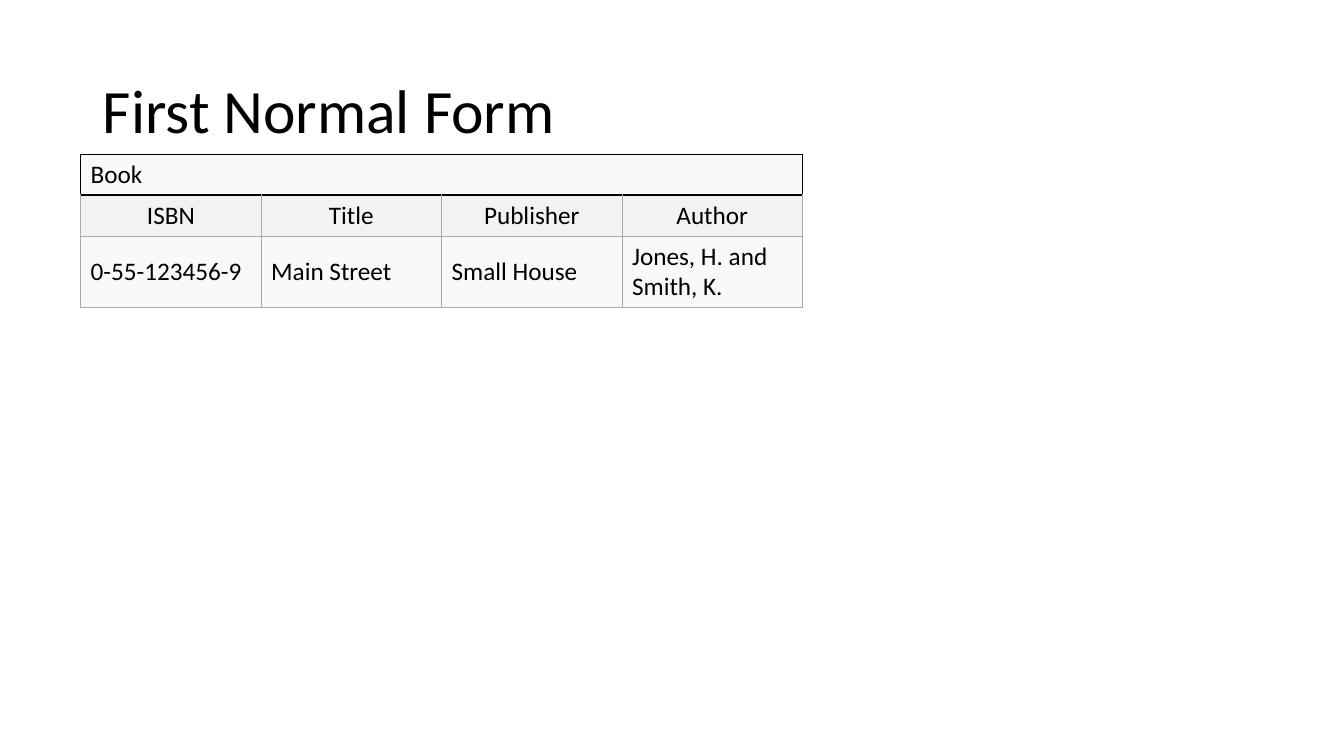
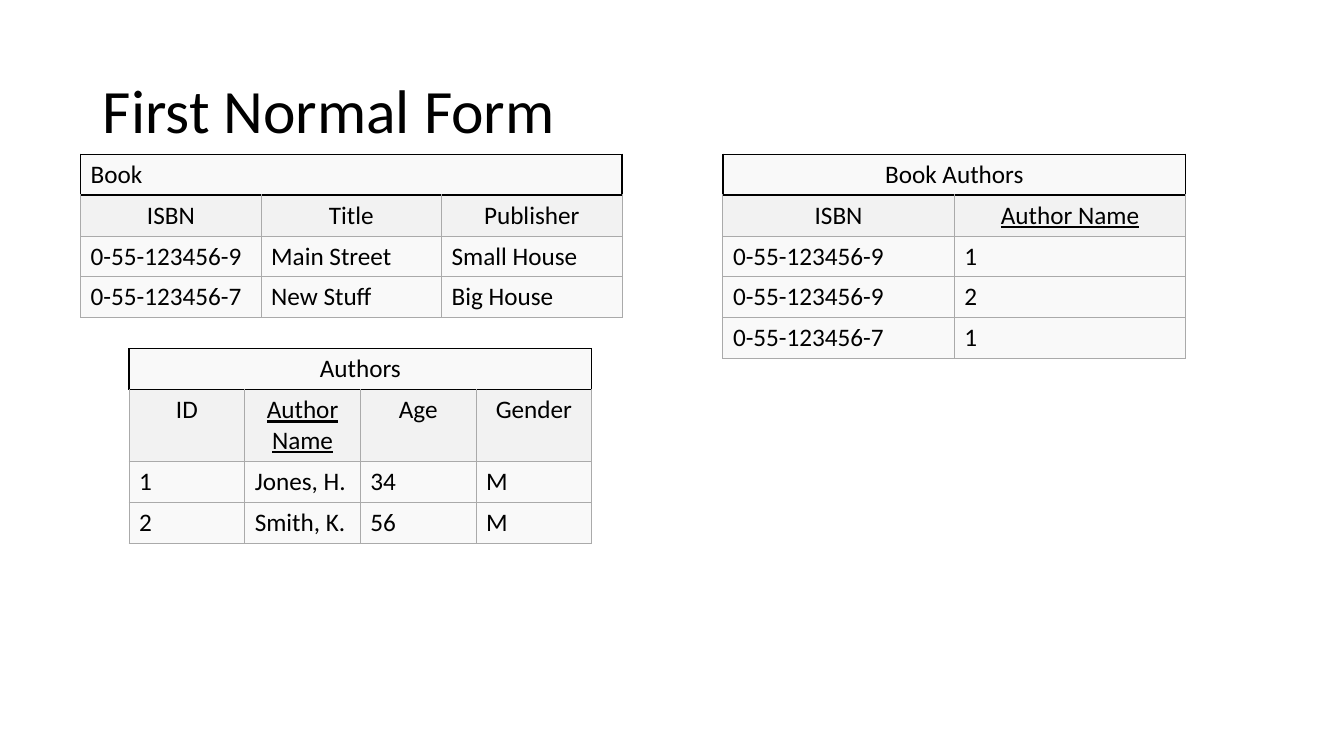
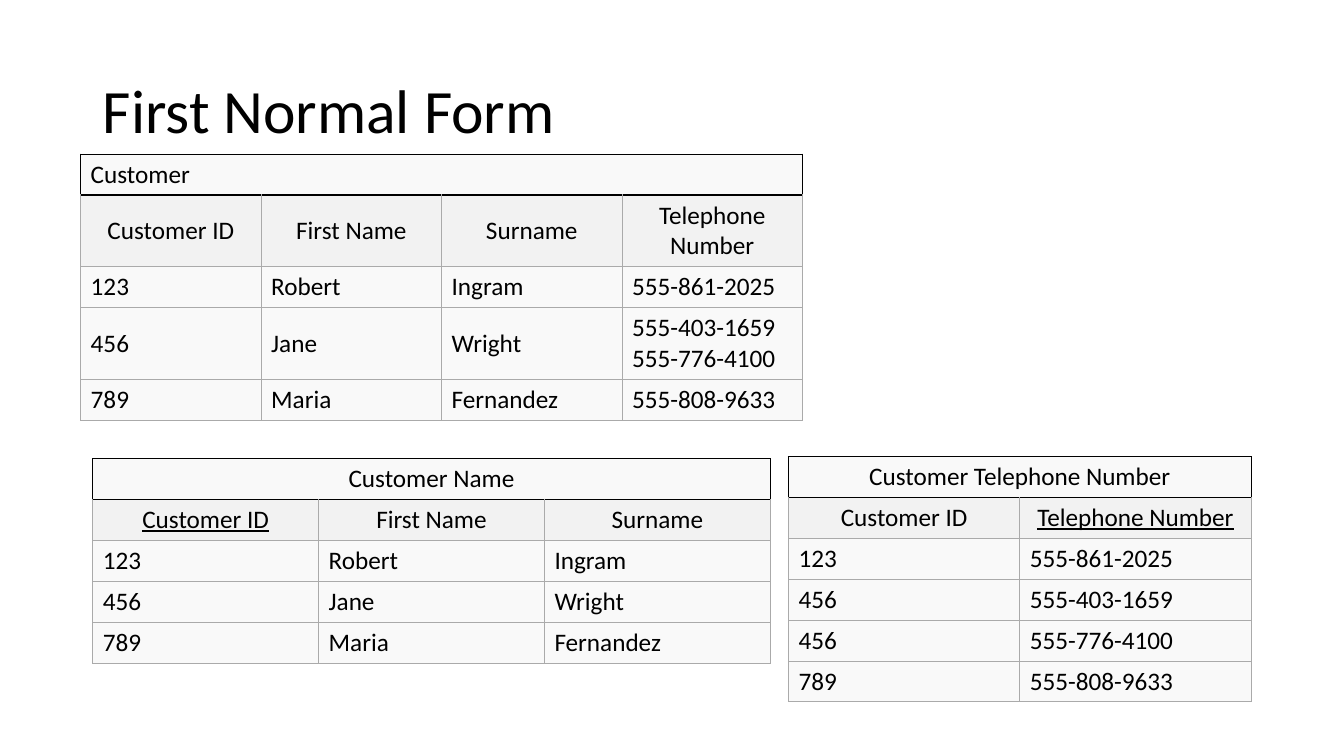
from lxml.etree import SubElement
from pptx import Presentation
from pptx.dml.color import RGBColor
from pptx.enum.text import MSO_ANCHOR as Anchor, PP_ALIGN as Align
from pptx.oxml.ns import qn
from pptx.util import Inches, Pt

FONT = "Calibri"
BLACK, GRID = "000000", "AAAAAA"
BODY_FILL, HEADER_FILL = "F9F9F9", "F2F2F2"
ROW_HEIGHT, EXTRA_LINE = 0.4, 0.31
LEFT, TOP = 0.8, 1.53
WIDE_COLUMN = 1.79
NARROW_TABLE = 4.59
TITLE_ONLY = 5


def color(value):
    return RGBColor.from_string(value)


def style_text(frame, size, align, underline=None):
    for para in frame.paragraphs:
        para.alignment = align
        for span in para.runs:
            span.font.name = FONT
            span.font.size = Pt(size)
            span.font.bold = False
            span.font.underline = underline
            span.font.color.rgb = color(BLACK)


def add_page(deck):
    page = deck.slides.add_slide(deck.slide_layouts[TITLE_ONLY])
    title = page.shapes.title
    title.left, title.top = Inches(0.92), Inches(0.4)
    title.width, title.height = Inches(11.5), Inches(1.45)
    frame = title.text_frame
    frame.text = "First Normal Form"
    frame.vertical_anchor = Anchor.MIDDLE
    frame.paragraphs[0].line_spacing = 0.9
    style_text(frame, 44, Align.LEFT)
    return page


def set_borders(cell, borders):
    properties = cell._tc.get_or_add_tcPr()
    for side in "LRTB":
        value, width = borders[side]
        line = SubElement(properties, qn(f"a:ln{side}"), w=str(Pt(width)))
        fill = SubElement(line, qn("a:solidFill"))
        SubElement(fill, qn("a:srgbClr"), val=value)


def format_cell(cell, row, centered, underline):
    grid, outline = (GRID, 0.75), (BLACK, 1)
    borders = dict.fromkeys("LRTB", outline if row == 0 else grid)
    if row == 1:
        borders["T"] = outline
    set_borders(cell, borders)
    cell.fill.solid()
    cell.fill.fore_color.rgb = color(HEADER_FILL if row == 1 else BODY_FILL)
    cell.vertical_anchor = Anchor.TOP if centered else Anchor.MIDDLE
    in_center = row == 1 or (row == 0 and centered)
    style_text(cell.text_frame, 18, Align.CENTER if in_center else Align.LEFT,
               underline)


def add_relation(page, left, top, width, caption, header, records,
                 centered=False, key=None, tall_rows=()):
    rows = [[caption] + [""] * (len(header) - 1), header, *records]
    heights = [ROW_HEIGHT + EXTRA_LINE * (row in tall_rows)
               for row in range(len(rows))]
    table = page.shapes.add_table(
        len(rows), len(header), Inches(left), Inches(top),
        Inches(width), Inches(sum(heights))).table
    table.first_row = False
    table.horz_banding = False
    for column in table.columns:
        column.width = Inches(width / len(header))
    table.cell(0, 0).merge(table.cell(0, len(header) - 1))
    for row, texts in enumerate(rows):
        table.rows[row].height = Inches(heights[row])
        for column, text in enumerate(texts):
            cell = table.cell(row, column)
            if text:
                cell.text_frame.text = text
            underlined = row == 1 and text == key
            format_cell(cell, row, centered, underlined or None)


def add_unnormalized_book(deck):
    add_relation(
        add_page(deck), LEFT, TOP, 4 * WIDE_COLUMN, "Book",
        ["ISBN", "Title", "Publisher", "Author"],
        [["0-55-123456-9", "Main Street", "Small House",
          "Jones, H. and Smith, K."]],
        tall_rows=(2,))


def add_normalized_book(deck):
    page = add_page(deck)
    add_relation(
        page, 7.17, TOP, NARROW_TABLE, "Book Authors",
        ["ISBN", "Author Name"],
        [["0-55-123456-9", "1"],
         ["0-55-123456-9", "2"],
         ["0-55-123456-7", "1"]],
        centered=True, key="Author Name")
    add_relation(
        page, LEFT, TOP, 3 * WIDE_COLUMN, "Book",
        ["ISBN", "Title", "Publisher"],
        [["0-55-123456-9", "Main Street", "Small House"],
         ["0-55-123456-7", "New Stuff", "Big House"]])
    add_relation(
        page, 1.28, 3.46, NARROW_TABLE, "Authors",
        ["ID", "Author Name", "Age", "Gender"],
        [["1", "Jones, H.", "34", "M"],
         ["2", "Smith, K.", "56", "M"]],
        centered=True, key="Author Name", tall_rows=(1,))


def add_customers(deck):
    page = add_page(deck)
    people = [["123", "Robert", "Ingram"],
              ["456", "Jane", "Wright"],
              ["789", "Maria", "Fernandez"]]
    phones = [["555-861-2025"],
              ["555-403-1659", "555-776-4100"],
              ["555-808-9633"]]
    name_header = ["Customer ID", "First Name", "Surname"]
    add_relation(
        page, 0.92, 4.55, 6.72, "Customer Name", name_header, people,
        centered=True, key="Customer ID")
    add_relation(
        page, 7.82, 4.53, NARROW_TABLE, "Customer Telephone Number",
        ["Customer ID", "Telephone Number"],
        [[person[0], number]
         for person, numbers in zip(people, phones) for number in numbers],
        centered=True, key="Telephone Number")
    add_relation(
        page, LEFT, TOP, 4 * WIDE_COLUMN, "Customer",
        name_header + ["Telephone Number"],
        [person + ["\v".join(numbers)]
         for person, numbers in zip(people, phones)],
        tall_rows=(1, 3))


def main():
    deck = Presentation()
    deck.slide_width, deck.slide_height = Inches(13.33), Inches(7.5)
    add_unnormalized_book(deck)
    add_normalized_book(deck)
    add_customers(deck)
    deck.save("out.pptx")


if __name__ == "__main__":
    main()
